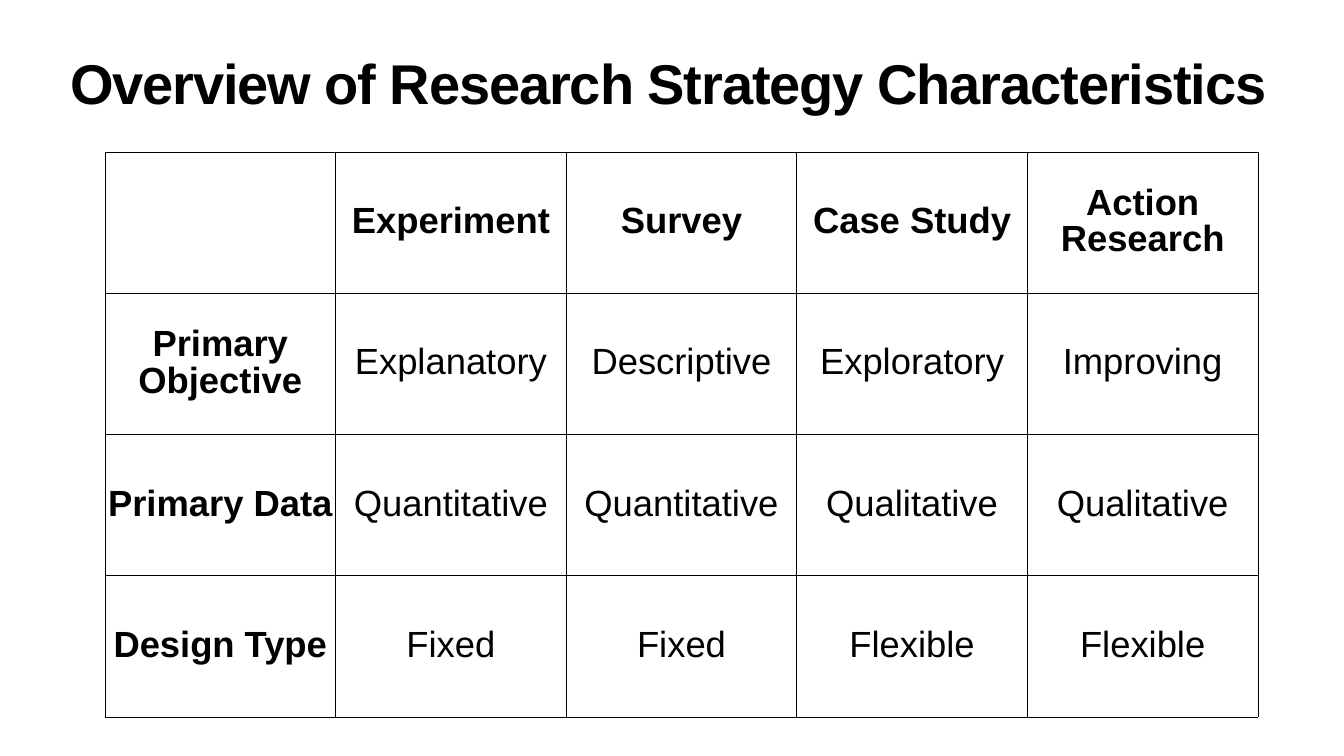
from dataclasses import dataclass

from lxml import etree
from pptx import Presentation
from pptx.dml.color import RGBColor
from pptx.enum.text import MSO_ANCHOR, MSO_AUTO_SIZE, PP_ALIGN
from pptx.oxml.ns import qn
from pptx.util import Emu, Pt

TOP, MIDDLE = MSO_ANCHOR.TOP, MSO_ANCHOR.MIDDLE
LEFT, CENTER = PP_ALIGN.LEFT, PP_ALIGN.CENTER
NO_FIT = MSO_AUTO_SIZE.NONE
TITLE_ONLY = 5
PX_PER_INCH = 50.4
INSET = 3


@dataclass(frozen=True)
class Theme:
    font: str = "Arial"
    ink: str = "000000"
    paper: str = "FFFFFF"
    title: int = 80
    cell: int = 52
    border: int = 1


@dataclass(frozen=True)
class Row:
    label: str
    values: tuple[str, ...]
    header: bool = False


THEME = Theme()
ROWS = [
    Row("", ("Experiment", "Survey", "Case Study", "Action Research"), header=True),
    Row("Primary Objective", ("Explanatory", "Descriptive", "Exploratory", "Improving")),
    Row("Primary Data", ("Quantitative", "Quantitative", "Qualitative", "Qualitative")),
    Row("Design Type", ("Fixed", "Fixed", "Flexible", "Flexible")),
]


def px(n: float) -> Emu:
    return Emu(round(n * 914400 / PX_PER_INCH))


def write(tf, text: str, *, size: int, bold=False, align=CENTER, leading=0.9, spacing=0) -> None:
    p = tf.paragraphs[0]
    p.alignment, p.line_spacing = align, leading
    p.space_before = Pt(0)
    r = p.add_run()
    r.text = text
    r.font.name, r.font.size, r.font.bold = THEME.font, Pt(size), bold
    r.font.color.rgb = RGBColor.from_string(THEME.ink)
    if spacing:
        r.font._element.set("spc", str(spacing))


def set_insets(box) -> None:
    box.margin_left = box.margin_right = box.margin_top = box.margin_bottom = px(INSET)


def add_borders(cell) -> None:
    tcPr = cell._tc.get_or_add_tcPr()
    for i, side in enumerate(("lnL", "lnR", "lnT", "lnB")):
        ln = etree.Element(qn(f"a:{side}"), w=str(Pt(THEME.border)))
        fill = etree.SubElement(ln, qn("a:solidFill"))
        etree.SubElement(fill, qn("a:srgbClr"), val=THEME.ink)
        tcPr.insert(i, ln)


def add_title(s, text: str) -> None:
    sp = s.shapes.title
    sp.left, sp.top, sp.width, sp.height = px(67), px(59), px(1211), px(79)
    tf = sp.text_frame
    tf.word_wrap, tf.auto_size, tf.vertical_anchor = True, NO_FIT, TOP
    set_insets(tf)
    write(tf, text, size=THEME.title, bold=True, align=LEFT, leading=0.8, spacing=-160)


def add_grid(s, rows: list[Row]) -> None:
    cols = len(rows[0].values) + 1
    table = s.shapes.add_table(len(rows), cols, px(105), px(152), px(1153), px(565)).table
    table.first_row = table.horz_banding = False
    for i, row in enumerate(rows):
        for j, text in enumerate((row.label, *row.values)):
            cell = table.cell(i, j)
            cell.fill.solid()
            cell.fill.fore_color.rgb = RGBColor.from_string(THEME.paper)
            cell.vertical_anchor = MIDDLE
            set_insets(cell)
            add_borders(cell)
            if text:
                write(cell.text_frame, text, size=THEME.cell, bold=row.header or j == 0)


def main() -> None:
    prs = Presentation()
    prs.slide_width, prs.slide_height = px(1344), px(756)
    s = prs.slides.add_slide(prs.slide_layouts[TITLE_ONLY])
    s.background.fill.solid()
    s.background.fill.fore_color.rgb = RGBColor.from_string(THEME.paper)
    add_title(s, "Overview of Research Strategy Characteristics")
    add_grid(s, ROWS)
    prs.save("out.pptx")


if __name__ == "__main__":
    main()
